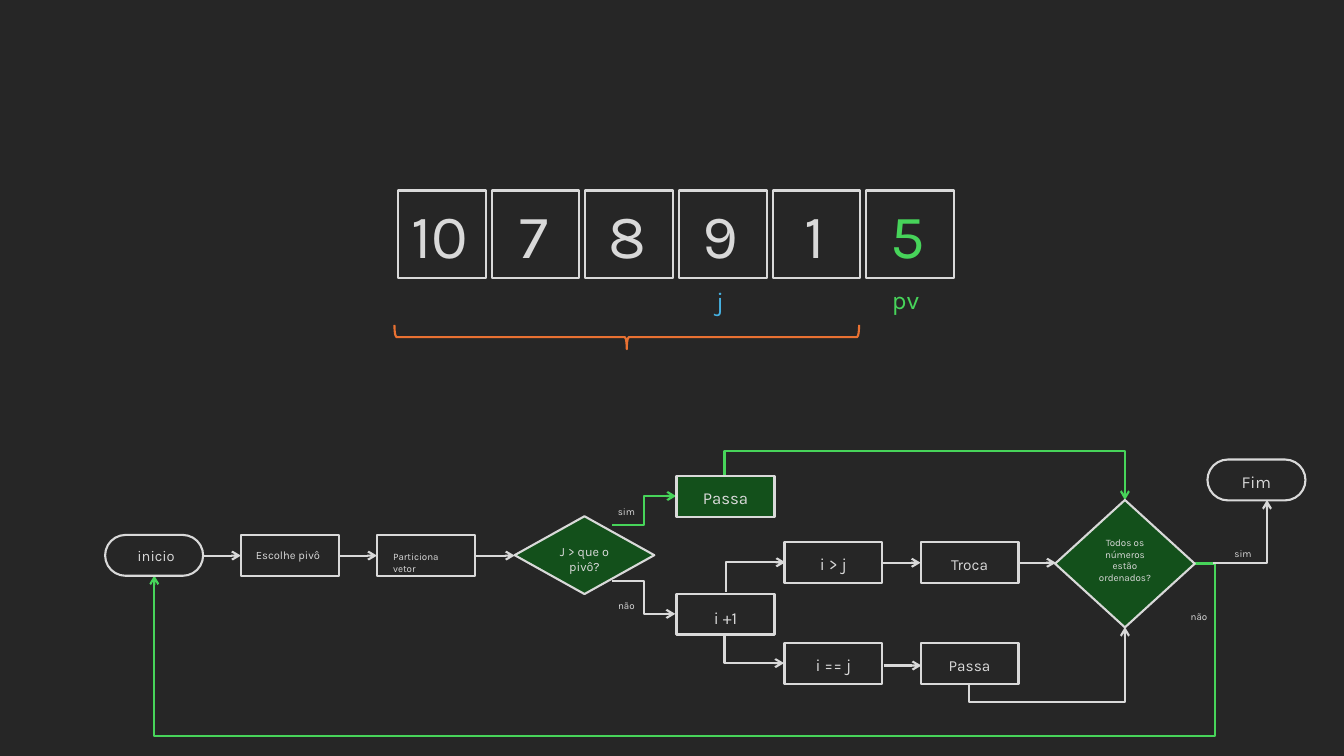
from lxml.etree import SubElement
from pptx import Presentation
from pptx.dml.color import RGBColor
from pptx.enum.shapes import MSO_CONNECTOR as Link, MSO_SHAPE as Kind
from pptx.enum.text import MSO_ANCHOR as Anchor, PP_ALIGN as Align
from pptx.oxml.ns import qn
from pptx.util import Cm, Pt

FONT = "Karla"
BACKDROP, LIGHT, GREEN, DARK_GREEN = "262626", "D9D9D9", "47D45A", "13501B"
BLUE, ORANGE = "46B1E1", "E97132"
NODE_WIDTH, NODE_HEIGHT = 2.47, 1.03


def colour(code):
    return RGBColor.from_string(code)


def set_line(line, code):
    line.color.rgb = colour(code)
    line.width = Pt(1.5)


def write(box, text, size, code=LIGHT, align=Align.CENTER, **frame_format):
    """Put one paragraph in a box; margins are in centimetres."""
    frame = box.text_frame
    margins = dict.fromkeys(
        ("margin_left", "margin_right", "margin_top", "margin_bottom"), 0)
    settings = {"word_wrap": True, "vertical_anchor": Anchor.MIDDLE,
                **margins, **frame_format}
    for name, value in settings.items():
        setattr(frame, name, Cm(value) if name in margins else value)
    para = frame.paragraphs[0]
    para.alignment = align
    span = para.add_run()
    span.text = text
    for name, value in {"name": FONT, "size": Pt(size)}.items():
        setattr(span.font, name, value)
    span.font.color.rgb = colour(code)


def add_outline(page, kind, place, line=LIGHT, fill=None):
    box = page.shapes.add_shape(kind, *map(Cm, place))
    box.shadow.inherit = False
    set_line(box.line, line)
    if fill:
        box.fill.solid()
        box.fill.fore_color.rgb = colour(fill)
    else:
        box.fill.background()
    return box


def add_node(page, left, top, text, size=12, kind=Kind.RECTANGLE, fill=None,
             **text_format):
    box = add_outline(page, kind, (left, top, NODE_WIDTH, NODE_HEIGHT), fill=fill)
    if kind == Kind.ROUNDED_RECTANGLE:
        box.adjustments[0] = 0.5
    write(box, text, size, **{"margin_top": 0.08, **text_format})


def add_decision(page, left, top, height, text, size, **text_format):
    box = add_outline(page, Kind.DIAMOND, (left, top, 3.52, height), fill=DARK_GREEN)
    write(box, text, size, margin_left=0.13, margin_right=0.13, **text_format)


def add_label(page, place, text, size, code=LIGHT):
    write(page.shapes.add_textbox(*map(Cm, place)), text, size, code)


def add_arrow(page, start, end, code=LIGHT, link=Link.STRAIGHT):
    arrow = page.shapes.add_connector(link, *map(Cm, (*start, *end)))
    set_line(arrow.line, code)
    SubElement(arrow.line._get_or_add_ln(), qn("a:tailEnd"), type="arrow")
    SubElement(arrow._element.spPr, qn("a:effectLst"))
    return arrow


def add_elbow(page, start, end, code=LIGHT, bends=3, vertical=False, adjust=()):
    """Bent arrow; a vertical one leaves its start up or down, heading right."""
    rises = end[1] < start[1]
    if vertical:
        # The frame is stored unturned, about the same centre
        middle_x, middle_y = ((a + b) / 2 for a, b in zip(start, end))
        half_width = abs(end[1] - start[1]) / 2
        half_height = (end[0] - start[0]) / 2 * (-1 if rises else 1)
        start = middle_x + half_width, middle_y - half_height
        end = middle_x - half_width, middle_y + half_height
    arrow = add_arrow(page, start, end, code, Link.ELBOW)
    properties = arrow._element.spPr
    if vertical:
        properties.find(qn("a:xfrm")).set("rot", str((90 if rises else 270) * 60000))
    geometry = properties.find(qn("a:prstGeom"))
    geometry.set("prst", f"bentConnector{bends}")
    guides = geometry.find(qn("a:avLst"))
    for number, share in enumerate(adjust, 1):
        SubElement(guides, qn("a:gd"), name=f"adj{number}",
                   fmla=f"val {round(share * 100000)}")


def add_vector(page):
    for index, number in enumerate((10, 7, 8, 9, 1, 5)):
        cell = add_outline(page, Kind.RECTANGLE, (10.03 + 2.36 * index, 4.8, 2.21, 2.21))
        write(cell, str(number), 44, GREEN if number == 5 else LIGHT, margin_right=0.1)
    add_label(page, (17.4, 7.06, 1.5, 1.02), "j", 18, BLUE)
    add_label(page, (22.07, 7.04, 1.5, 1.02), "pv", 18, GREEN)
    brace = add_outline(page, Kind.RIGHT_BRACE, (15.49, 2.64, 0.61, 11.71), ORANGE)
    brace.rotation = 90


def add_arrows(page):
    for left, right, y in ((5.12, 6.07, 14), (8.55, 9.5, 14), (11.98, 12.97, 14),
                           (22.24, 23.2, 14.18), (25.66, 26.61, 14.18),
                           (22.27, 23.22, 16.77)):
        add_arrow(page, (left, y), (right, y))
    # Out of the first decision
    add_elbow(page, (15.42, 13.23), (17.04, 12.5), GREEN)
    add_elbow(page, (15.42, 14.63), (17.02, 15.47))
    # From "i +1" to the two comparisons
    add_elbow(page, (18.29, 14.91), (19.79, 14.17), bends=2, vertical=True)
    add_elbow(page, (18.26, 15.98), (19.76, 16.71), bends=2, vertical=True)
    # Into the last decision
    add_elbow(page, (18.26, 11.99), (28.35, 12.6), GREEN, vertical=True, adjust=[-1.03])
    add_elbow(page, (24.41, 17.22), (28.35, 15.8), vertical=True, adjust=[-0.33])
    # Back to the start, and on to the end
    add_elbow(page, (30.1, 14.2), (3.89, 14.5), GREEN, bends=4, adjust=[-0.02, 14.48])
    add_elbow(page, (30.58, 14.2), (31.93, 12.6), vertical=True, adjust=[0])


def add_steps(page):
    pill = Kind.ROUNDED_RECTANGLE
    add_node(page, 2.65, 13.48, "inicio", 10.5, pill, margin_left=0.1, margin_top=0)
    add_node(page, 6.07, 13.48, "Escolhe pivô", 8, align=Align.LEFT,
             margin_left=0.38, margin_top=0)
    add_node(page, 9.5, 13.48, "Particiona vetor", 7, align=Align.LEFT,
             margin_left=0.41, margin_right=0.33, margin_top=0.41,
             vertical_anchor=Anchor.TOP)
    add_decision(page, 12.97, 13.01, 1.96, "J > que o pivô?", 9, margin_top=0.18)
    add_node(page, 17.05, 11.99, "Passa", fill=DARK_GREEN)
    add_node(page, 17.05, 14.96, "i +1", margin_top=0.2)
    for top, test, action in ((13.66, "i > j", "Troca"), (16.21, "i == j", "Passa")):
        add_node(page, 19.77, top, test)
        add_node(page, 23.2, top, action, 11)
    add_decision(page, 26.59, 12.6, 3.21, "Todos os números estão ordenados?", 7,
                 margin_bottom=0.18)
    add_node(page, 30.43, 11.58, "Fim", kind=pill)
    for left, top, answer in ((15.19, 12.6, "sim"), (30.73, 13.67, "sim"),
                              (15.19, 14.99, "não"), (29.62, 15.27, "não")):
        add_label(page, (left, top, 1.19, 0.56), answer, 7)


def main():
    deck = Presentation()
    deck.slide_width, deck.slide_height = Cm(33.87), Cm(19.05)
    page = deck.slides.add_slide(deck.slide_layouts[6])
    page.background.fill.solid()
    page.background.fill.fore_color.rgb = colour(BACKDROP)
    add_vector(page)
    add_arrows(page)
    add_steps(page)
    deck.save("out.pptx")


if __name__ == "__main__":
    main()
